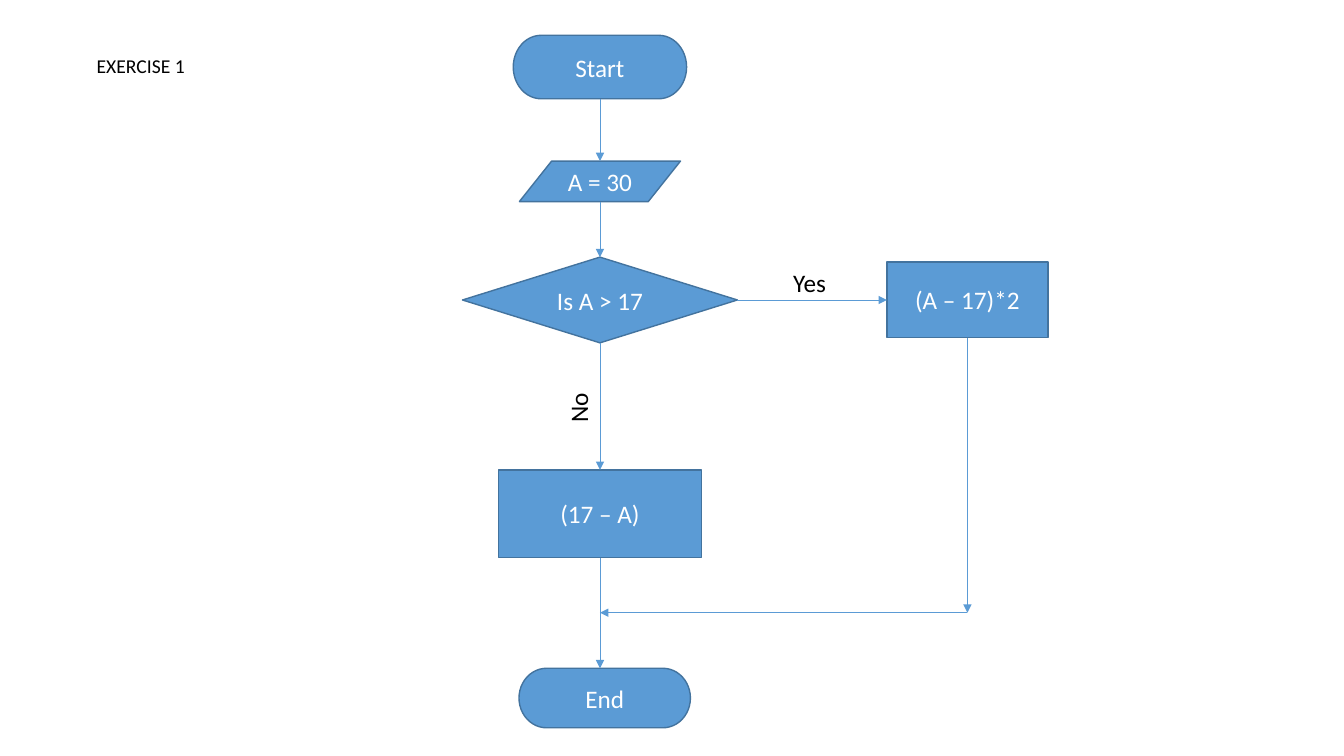
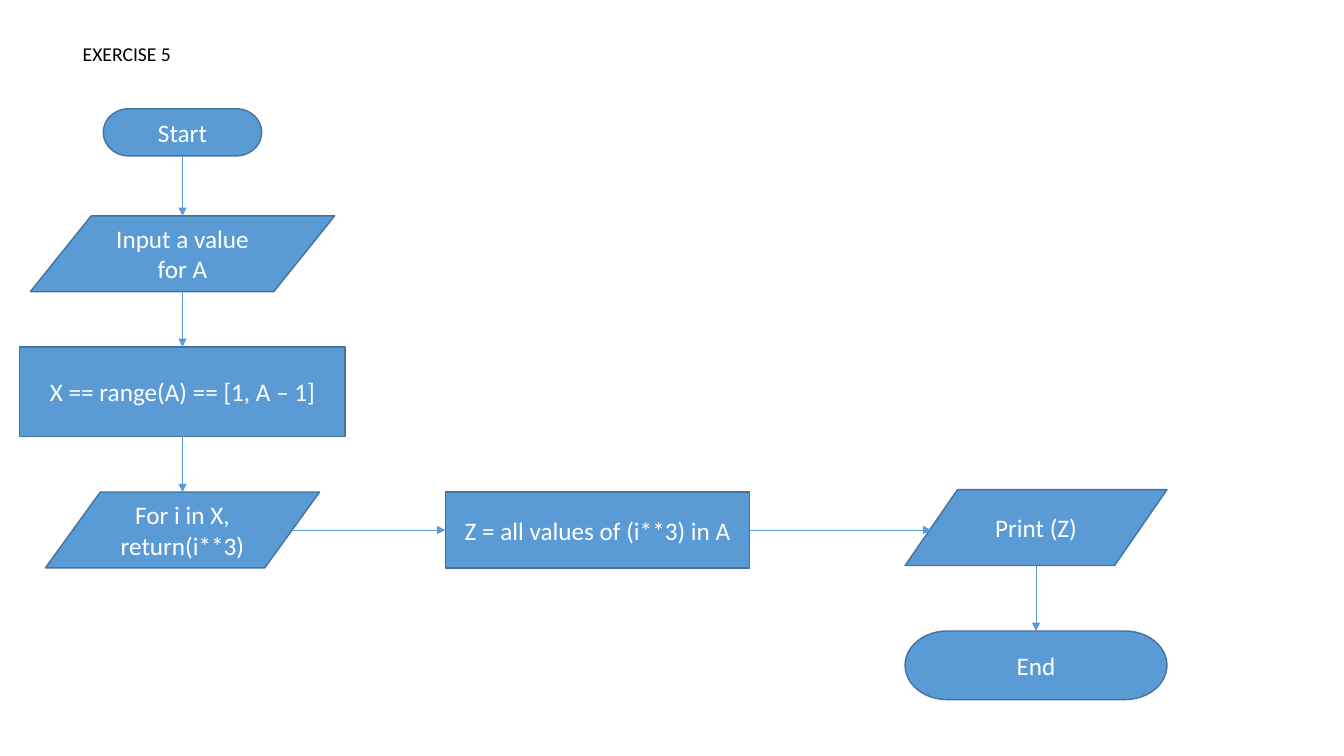
from dataclasses import dataclass

from lxml import etree
from pptx import Presentation
from pptx.dml.color import RGBColor
from pptx.enum.shapes import MSO_CONNECTOR, MSO_SHAPE
from pptx.enum.text import MSO_ANCHOR, MSO_AUTO_SIZE, PP_ALIGN
from pptx.oxml.ns import qn
from pptx.util import Cm, Pt

TERMINAL = MSO_SHAPE.FLOWCHART_TERMINATOR
DATA = MSO_SHAPE.FLOWCHART_DATA
DECISION = MSO_SHAPE.FLOWCHART_DECISION
PROCESS = MSO_SHAPE.RECTANGLE
STRAIGHT = MSO_CONNECTOR.STRAIGHT
TOP, MIDDLE = MSO_ANCHOR.TOP, MSO_ANCHOR.MIDDLE
LEFT, CENTER = PP_ALIGN.LEFT, PP_ALIGN.CENTER
NO_AUTOFIT = MSO_AUTO_SIZE.NONE
TITLE_ONLY = 5


@dataclass(frozen=True)
class Theme:
    font: str = "Calibri"
    title_size: int = 14
    text_size: int = 18
    fill: RGBColor = RGBColor(0x5B, 0x9B, 0xD5)
    outline: RGBColor = RGBColor(0x43, 0x73, 0x9E)
    node_text: RGBColor = RGBColor(0xFF, 0xFF, 0xFF)
    plain_text: RGBColor = RGBColor(0, 0, 0)
    outline_width: float = 1
    arrow_width: float = 0.5


def apply_format(target, values):
    for name, value in values.items():
        setattr(target, name, value)


class Flowchart:
    def __init__(self, presentation, theme):
        self.presentation = presentation
        self.theme = theme
        self.slide = None

    def set_text(self, shape, text, size, color, alignment, anchor):
        frame = shape.text_frame
        apply_format(frame, {"text": text, "word_wrap": True,
                             "auto_size": NO_AUTOFIT, "vertical_anchor": anchor})
        paragraph = frame.paragraphs[0]
        paragraph.alignment = alignment
        font = paragraph.runs[0].font
        apply_format(font, {"name": self.theme.font, "size": Pt(size)})
        font.color.rgb = color

    def new_slide(self, title, left, top):
        layout = self.presentation.slide_layouts[TITLE_ONLY]
        self.slide = self.presentation.slides.add_slide(layout)
        shape = self.slide.shapes.title
        apply_format(shape, {"left": Cm(left), "top": Cm(top),
                             "width": Cm(8.28), "height": Cm(0.86)})
        self.set_text(shape, title, self.theme.title_size, self.theme.plain_text, LEFT, TOP)

    def node(self, kind, text, center, top, width, height):
        shape = self.slide.shapes.add_shape(
            kind, Cm(center - width / 2), Cm(top), Cm(width), Cm(height))
        shape.shadow.inherit = False
        shape.fill.solid()
        shape.fill.fore_color.rgb = self.theme.fill
        shape.line.color.rgb = self.theme.outline
        shape.line.width = Pt(self.theme.outline_width)
        self.set_text(shape, text, self.theme.text_size, self.theme.node_text, CENTER, MIDDLE)
        return shape

    def label(self, text, left, top, rotation=0):
        shape = self.slide.shapes.add_textbox(Cm(left), Cm(top), Cm(1.65), Cm(1.07))
        shape.rotation = rotation
        self.set_text(shape, text, self.theme.text_size, self.theme.plain_text, LEFT, TOP)

    def arrow(self, start_x, start_y, end_x, end_y):
        connector = self.slide.shapes.add_connector(STRAIGHT, start_x, start_y, end_x, end_y)
        connector.line.color.rgb = self.theme.fill
        connector.line.width = Pt(self.theme.arrow_width)
        properties = connector._element.spPr
        etree.SubElement(properties.find(qn("a:ln")), qn("a:tailEnd"), type="triangle")
        etree.SubElement(properties, qn("a:effectLst"))

    def arrow_down(self, shape, end_y):
        x = shape.left + shape.width // 2
        self.arrow(x, shape.top + shape.height, x, end_y)

    def arrow_right(self, source, target):
        y = source.top + source.height // 2
        self.arrow(source.left + source.width - self.slant(source), y,
                   target.left + self.slant(target), y)

    def slant(self, shape):
        return shape.width // 10 if shape.auto_shape_type == DATA else 0

    def column(self, center, rows):
        nodes = [self.node(kind, text, center, *box) for kind, text, *box in rows]
        for upper, lower in zip(nodes, nodes[1:]):
            self.arrow_down(upper, lower.top)
        return nodes


presentation = Presentation()
apply_format(presentation, {"slide_width": Cm(33.87), "slide_height": Cm(19.05)})
chart = Flowchart(presentation, Theme())

chart.new_slide("EXERCISE 1", 2.18, 1.24)
main_axis, branch_axis, merge_y = 15.12, 24.38, 15.44
start, value, decision, difference = chart.column(main_axis, [
    (TERMINAL, "Start", 0.89, 4.37, 1.6),
    (DATA, "A = 30", 4.06, 4.06, 1.02),
    (DECISION, "Is A > 17", 6.48, 6.93, 2.16),
    (PROCESS, "(17 – A)", 11.84, 5.11, 2.21),
])
end = chart.node(TERMINAL, "End", 15.24, 16.84, 4.32, 1.5)
chart.arrow_down(difference, end.top)
doubled = chart.node(PROCESS, "(A – 17)*2", branch_axis, 6.6, 4.06, 1.91)
chart.arrow_right(decision, doubled)
chart.arrow_down(doubled, Cm(merge_y))
chart.arrow(Cm(branch_axis), Cm(merge_y), Cm(main_axis), Cm(merge_y))
chart.label("Yes", 19.74, 6.6)
chart.label("No", 13.77, 9.53, rotation=270)

chart.new_slide("EXERCISE 5", 1.83, 0.94)
*_, loop = chart.column(4.6, [
    (TERMINAL, "Start", 2.74, 3.99, 1.19),
    (DATA, "Input a value for A", 5.44, 7.67, 1.91),
    (PROCESS, "X == range(A) == [1, A – 1]", 8.74, 8.2, 2.26),
    (DATA, "For i in X, return(i**3)", 12.4, 6.91, 1.91),
])
cubes = chart.node(PROCESS, "Z = all values of (i**3) in A", 15.06, 12.4, 7.67, 1.91)
output, end = chart.column(26.11, [
    (DATA, "Print (Z)", 12.34, 6.6, 1.91),
    (TERMINAL, "End", 15.9, 6.6, 1.73),
])
chart.arrow_right(loop, cubes)
chart.arrow_right(cubes, output)

presentation.save("out.pptx")
